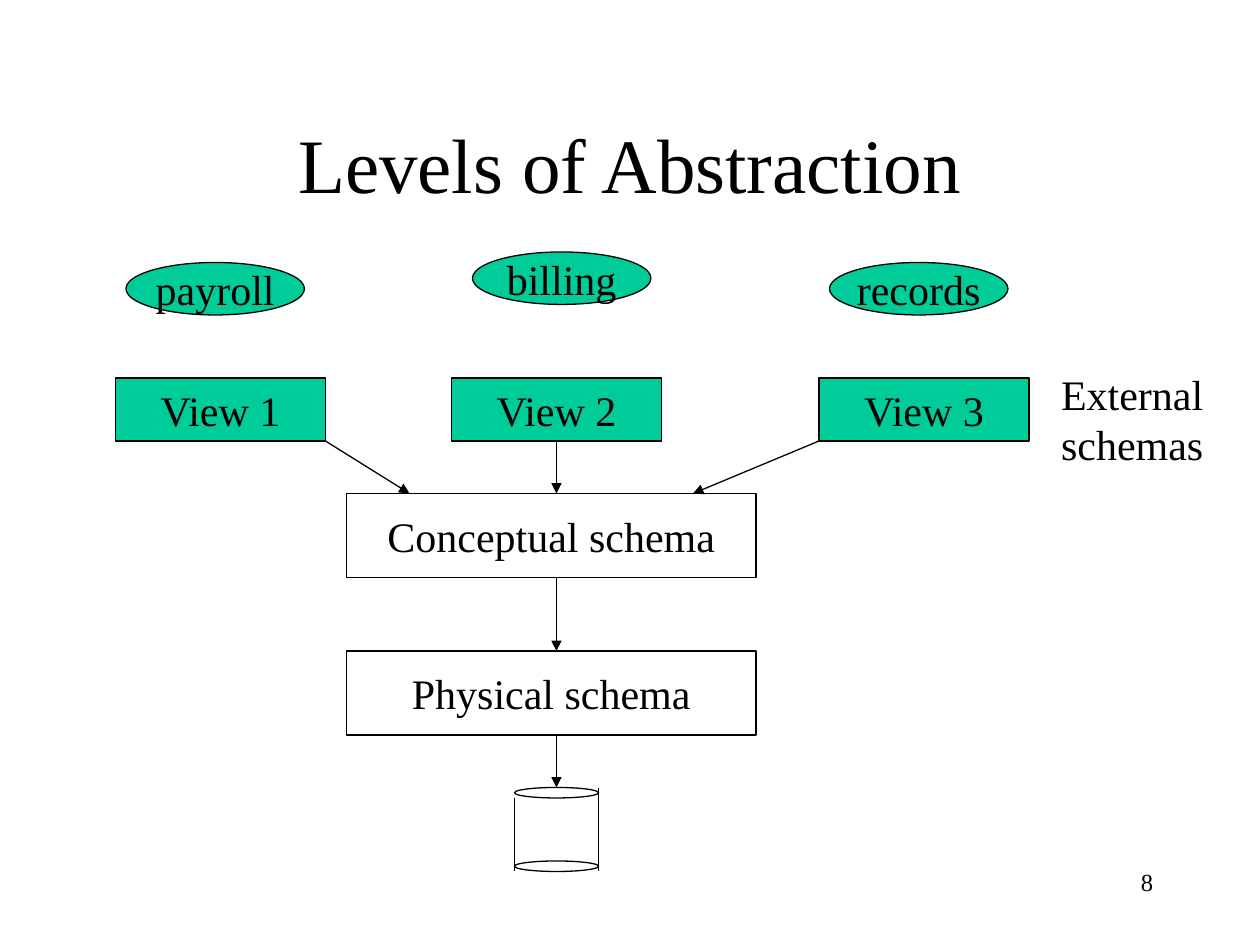
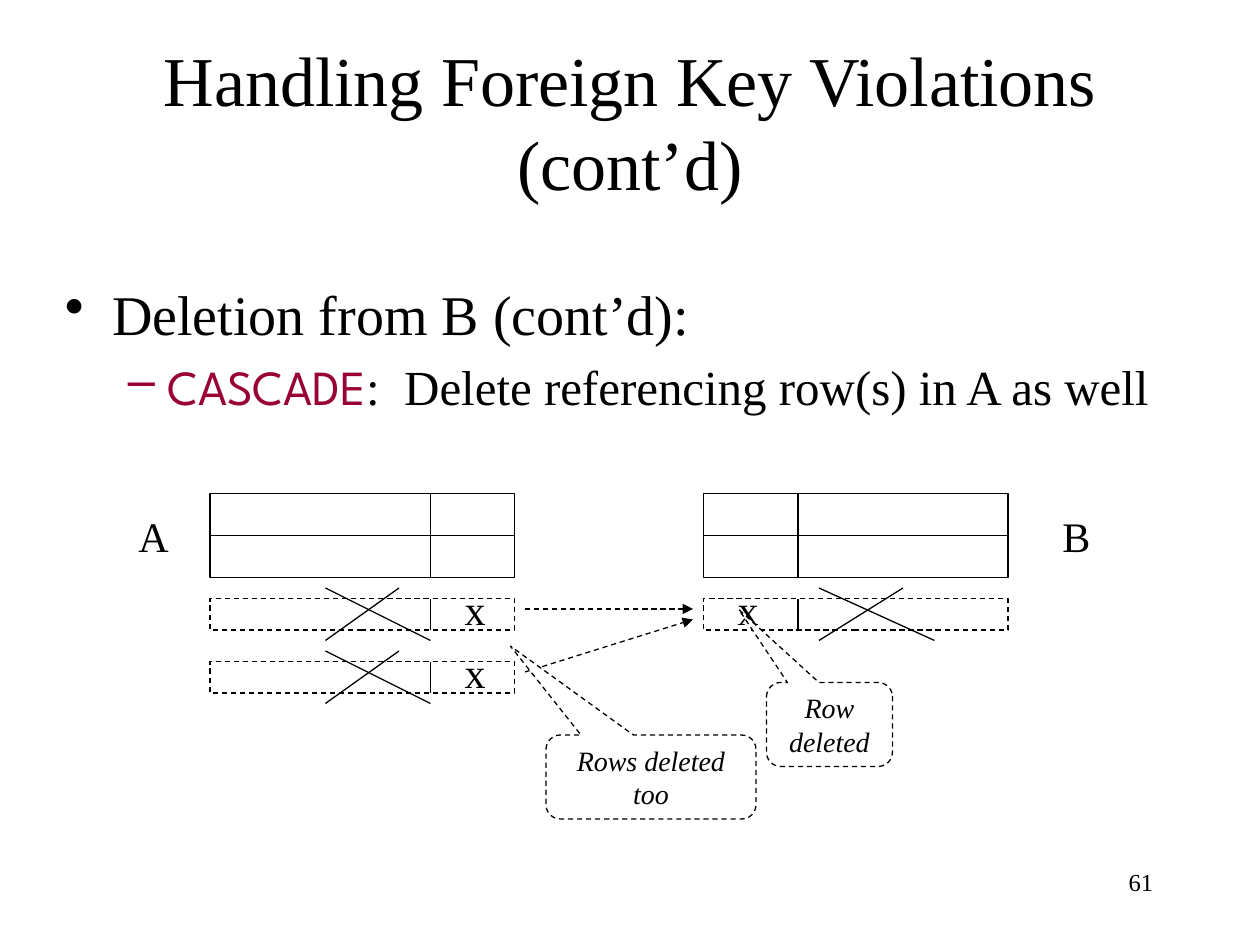
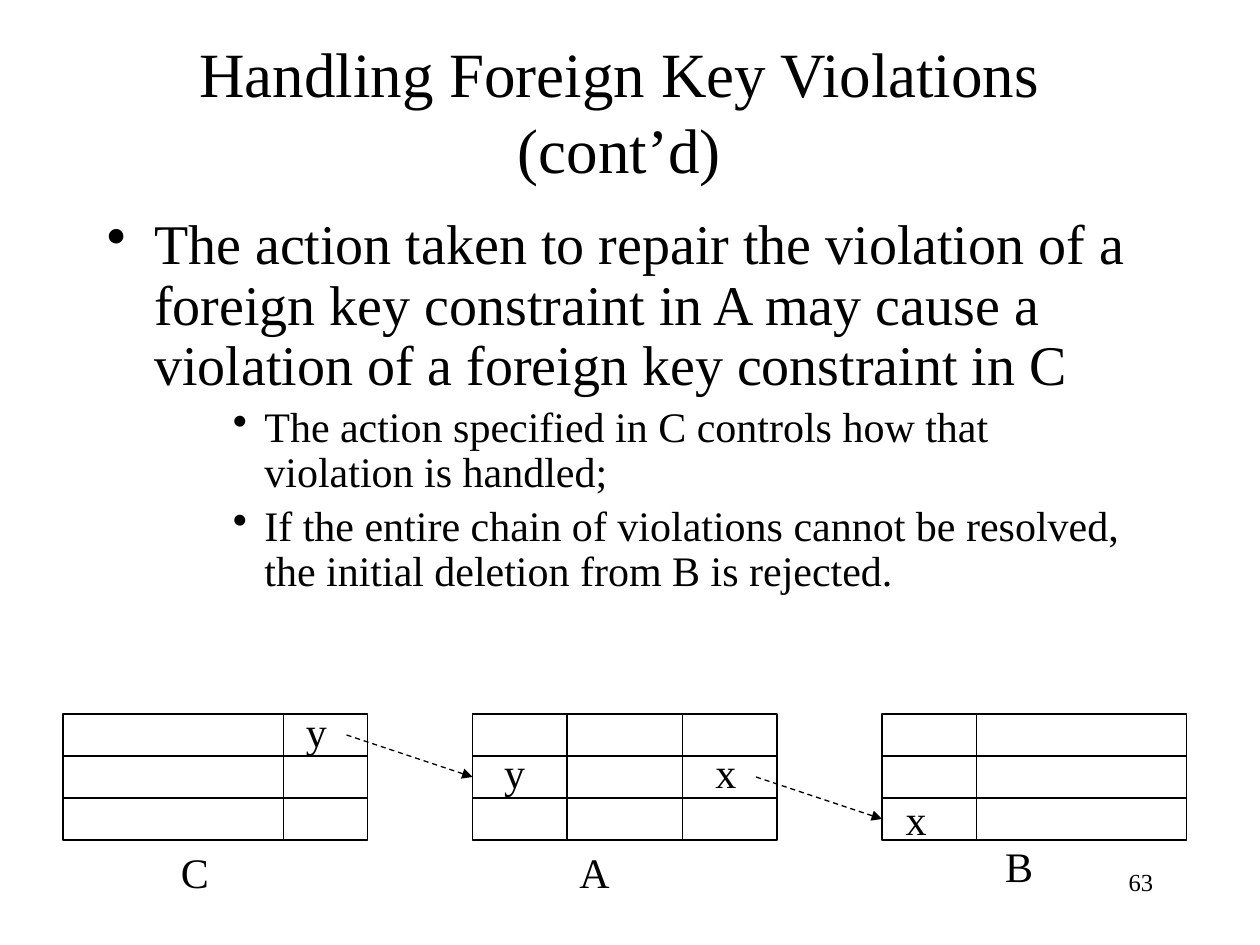
from lxml import etree
from pptx import Presentation
from pptx import util as u
from pptx.dml.color import RGBColor
from pptx.enum import dml, shapes, text
from pptx.oxml import ns

PX = 9525
BLACK, WHITE, GREEN, CRIMSON = "000000", "FFFFFF", "00CC99", "990033"
SERIF, SANS = "Times New Roman", "League Spartan"
LEFT, CENTER, RIGHT = text.PP_ALIGN.LEFT, text.PP_ALIGN.CENTER, text.PP_ALIGN.RIGHT
RECTANGLE = shapes.MSO_SHAPE.RECTANGLE
OVAL = shapes.MSO_SHAPE.OVAL
CALLOUT = shapes.MSO_SHAPE.ROUNDED_RECTANGULAR_CALLOUT
TABLE_WIDTH = 232


def color(value):
    return RGBColor.from_string(value)


def emu(*lengths):
    return [u.Emu(length * PX) for length in lengths]


class Deck:
    """Holds the lecture style and draws elements on the current slide."""

    def __init__(self):
        self.presentation = Presentation()
        self.presentation.slide_width, self.presentation.slide_height = emu(960, 720)
        self.slide = None

    def new_slide(self, number, title, title_box, title_size):
        self.slide = self.presentation.slides.add_slide(self.presentation.slide_layouts[6])
        self.textbox((688, 656, 200, 48), str(number), 14, RIGHT)
        frame = self.textbox(title_box, title, title_size, CENTER)
        frame.vertical_anchor = text.MSO_ANCHOR.MIDDLE

    def format_run(self, run, size, font=SERIF, fill=BLACK, italic=False):
        run.font.size = u.Pt(size)
        run.font.name = font
        run.font.color.rgb = color(fill)
        run.font.italic = italic

    def fill_text(self, frame, words, size, align, italic=False):
        frame.text = words
        for paragraph in frame.paragraphs:
            paragraph.alignment = align
            for run in paragraph.runs:
                self.format_run(run, size, italic=italic)

    def textbox(self, box, words, size, align):
        frame = self.slide.shapes.add_textbox(*emu(*box)).text_frame
        frame.word_wrap = True
        self.fill_text(frame, words, size, align)
        return frame

    def label(self, left, top, words, width=36, height=48, align=CENTER):
        frame = self.textbox((left, top, width, height), words, 24, align)
        frame.word_wrap = False
        frame.auto_size = text.MSO_AUTO_SIZE.SHAPE_TO_FIT_TEXT

    def body(self, box, bullets, line_spacing=1.0):
        frame = self.slide.shapes.add_textbox(*emu(*box)).text_frame
        frame.word_wrap = True
        for index, (mark, size, margin, hanging, parts) in enumerate(bullets):
            paragraph = frame.paragraphs[0] if index == 0 else frame.add_paragraph()
            paragraph.line_spacing = line_spacing
            paragraph.space_before = u.Pt(size * 0.2)
            properties = paragraph._p.get_or_add_pPr()
            properties.set("marL", str(margin * PX))
            properties.set("indent", str(-hanging * PX))
            etree.SubElement(properties, ns.qn("a:buChar"), char=mark)
            for words, font, fill in parts:
                run = paragraph.add_run()
                run.text = words
                self.format_run(run, size, font, fill)

    def outline(self, line, dashed):
        line.color.rgb = color(BLACK)
        line.width = u.Pt(0.75)
        if dashed:
            line.dash_style = dml.MSO_LINE.DASH

    def shape(self, kind, box, words="", fill=WHITE, size=24, dashed=False, italic=False, wrap=False):
        shape = self.slide.shapes.add_shape(kind, *emu(*box))
        shape.shadow.inherit = False
        shape.fill.solid()
        shape.fill.fore_color.rgb = color(fill)
        self.outline(shape.line, dashed)
        if words:
            frame = shape.text_frame
            frame.word_wrap = wrap
            frame.vertical_anchor = text.MSO_ANCHOR.MIDDLE
            self.fill_text(frame, words, size, CENTER, italic)
        return shape

    def callout(self, box, words, tip):
        shape = self.shape(CALLOUT, box, words, size=16, dashed=True, italic=True, wrap=True)
        for index, value in enumerate((*tip, 0.17)):
            shape.adjustments[index] = value

    def line(self, start, end, arrow=False, dashed=False):
        connector = self.slide.shapes.add_connector(
            shapes.MSO_CONNECTOR.STRAIGHT, *emu(*start, *end))
        self.outline(connector.line, dashed)
        properties = connector._element.spPr
        if arrow:
            etree.SubElement(properties.find(ns.qn("a:ln")), ns.qn("a:tailEnd"), type="triangle")
        etree.SubElement(properties, ns.qn("a:effectLst"))

    def grid(self, left, top, height, columns, rows=(), dashed=False):
        self.shape(RECTANGLE, (left, top, TABLE_WIDTH, height), dashed=dashed)
        for y in rows:
            self.line((left, y), (left + TABLE_WIDTH, y))
        for x in columns:
            self.line((x, top), (x, top + height))

    def deleted_row(self, left, top, column, key_left, cross):
        cross_left, cross_top_right, cross_right = cross
        self.grid(left, top, 24, [column], dashed=True)
        self.line((cross_left, top - 8), (cross_right, top + 32))
        self.line((cross_top_right, top - 8), (cross_left, top + 32))
        self.label(key_left, top - 16, "x")


def levels_slide(deck):
    deck.new_slide(8, "Levels of Abstraction", (72, 64, 816, 120), 44)
    for number, left in enumerate((88, 344, 624), 1):
        deck.shape(RECTANGLE, (left, 288, 160, 48), f"View {number}", GREEN)
    for top, words in ((376, "Conceptual schema"), (496, "Physical schema")):
        deck.shape(RECTANGLE, (264, top, 312, 64), words)
    for start, end in (((424, 336), (424, 376)), ((624, 336), (528, 376)),
                       ((248, 336), (312, 376)), ((424, 440), (424, 496)),
                       ((424, 560), (424, 600))):
        deck.line(start, end, arrow=True)
    for top in (656, 600):
        deck.shape(OVAL, (392, top, 64, 8))
    deck.line((456, 600), (456, 664))
    deck.line((392, 608), (392, 664))
    for left, top, words in ((96, 200, "payroll"), (632, 200, "records"), (360, 192, "billing")):
        deck.shape(OVAL, (left, top, 136, 40), words, GREEN)
    deck.label(799, 276, "External\nschemas", 128, 86, LEFT)


def cascade_slide(deck):
    deck.new_slide(61, "Handling Foreign Key Violations (cont’d)", (72, 32, 816, 120), 40)
    deck.body((40, 208, 888, 472), [
        ("•", 32, 36, 36, [("Deletion from B (cont’d):", SERIF, BLACK)]),
        ("–", 28, 78, 30, [("CASCADE", SANS, CRIMSON),
                           (":  Delete referencing row(s) in A as well", SERIF, BLACK)]),
    ])
    for left, column in ((536, 608), (160, 328)):
        deck.grid(left, 376, 64, [column], [408])
    deck.label(96, 384, "A", 42, align=LEFT)
    deck.label(800, 384, "B", 40, align=LEFT)
    deck.deleted_row(536, 456, 608, 552, (624, 688, 712))
    for top in (456, 504):
        deck.deleted_row(160, top, 328, 344, (248, 304, 328))
    deck.callout((584, 520, 96, 64), "Row deleted", (-0.72, -1.37))
    for start_y, end_y in ((464, 464), (512, 472)):
        deck.line((400, start_y), (528, end_y), arrow=True, dashed=True)
    deck.callout((416, 560, 160, 64), "Rows deleted too", (-0.67, -1.56))


def chain_slide(deck):
    deck.new_slide(63, "Handling Foreign Key Violations (cont’d)", (64, 24, 816, 120), 36)
    action = ("The action taken to repair the violation of a foreign key constraint in A "
              "may cause a violation of a foreign key constraint in C")
    details = ("The action specified in C controls how that violation is handled;",
               "If the entire chain of violations cannot be resolved, "
               "the initial deletion from B is rejected.")
    bullets = [("•", 32, 36, 36, [(action, SERIF, BLACK)])]
    bullets += [("•", 24, 120, 24, [(detail, SERIF, BLACK)]) for detail in details]
    deck.body((72, 160, 800, 328), bullets, 0.9)
    for left, columns in ((48, [216]), (360, [432, 520]), (672, [744])):
        deck.grid(left, 544, 96, columns, [576, 608])
    for left, top, key in ((680, 600, "x"), (535, 564, "x"), (374, 564, "y"), (223, 533, "y")):
        deck.label(left, top, key)
    for start, end in (((264, 560), (360, 592)), ((576, 592), (672, 624))):
        deck.line(start, end, arrow=True, dashed=True)
    for left, top, name in ((128, 640, "C"), (432, 640, "A"), (756, 636, "B")):
        deck.label(left, top, name, 41)


def main():
    deck = Deck()
    levels_slide(deck)
    cascade_slide(deck)
    chain_slide(deck)
    deck.presentation.save("out.pptx")


if __name__ == "__main__":
    main()
